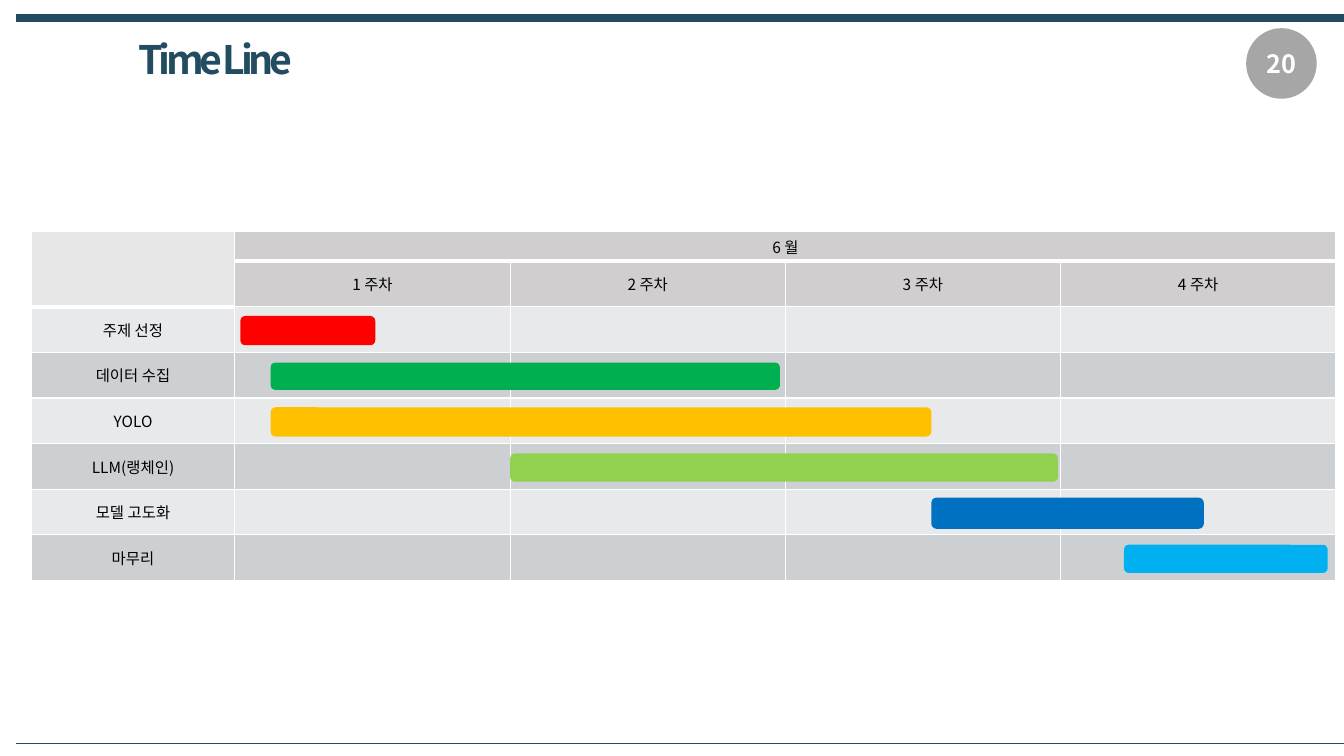
from lxml import etree
from pptx import Presentation
from pptx import util as u
from pptx.dml.color import RGBColor
from pptx.enum import shapes, text
from pptx.oxml import ns

# Content: bars are (start, end) in weeks, then height in inches and colour
TITLE, PAGE, MONTH = "Time Line", "20", "6 월"
WEEKS = ["1 주차", "2 주차", "3 주차", "4 주차"]
TASKS = [
    ("주제 선정", 0.02, 0.51, 0.29, "FF0000"),
    ("데이터 수집", 0.13, 1.98, 0.27, "00B050"),
    ("YOLO", 0.13, 2.53, 0.29, "FFC000"),
    ("LLM(랭체인)", 1.00, 2.99, 0.28, "92D050"),
    ("모델 고도화", 2.53, 3.52, 0.31, "0070C0"),
    ("마무리", 3.23, 3.97, 0.28, "00B0F0"),
]
THEME = dict(font="Noto Sans CJK KR", accent="224D60", ink="000000", white="FFFFFF",
             badge="A6A6A6", corner="E7E6E6", head="D0CECE",
             bands=("E8E9EA", "CDD0D2"), title=28, number=18, cell=11)

# Grid in inches
W, H = 13.33, 7.5
LEFT, TOP, LABEL_W, WEEK_W = 0.31, 2.3, 2.02, 2.73
MONTH_H, ROW_H = 0.29, 0.453
WEEKS_X = LEFT + LABEL_W
TASKS_Y = TOP + MONTH_H + ROW_H


def write(tf, words, size, color="ink", bold=False, align="CENTER", spacing=None):
    tf.vertical_anchor = text.MSO_ANCHOR.MIDDLE
    p = tf.paragraphs[0]
    p.alignment = getattr(text.PP_ALIGN, align)
    p.font.size = u.Pt(THEME[size])
    if not words:
        return
    r = p.add_run()
    r.text = words
    f = r.font
    f.name, f.size, f.bold = THEME["font"], u.Pt(THEME[size]), bold
    f.color.rgb = RGBColor.from_string(THEME[color])
    rPr = r._r.get_or_add_rPr()
    etree.SubElement(rPr, ns.qn("a:ea"), typeface=THEME["font"])
    if spacing is not None:
        rPr.set("spc", str(spacing * 100))


def add_rule(s, y, weight):
    c = s.shapes.add_connector(shapes.MSO_CONNECTOR.STRAIGHT, u.Inches(0.16),
                               u.Inches(y), u.Inches(W + 0.02), u.Inches(y))
    c.line.color.rgb = RGBColor.from_string(THEME["accent"])
    c.line.width = u.Pt(weight)
    etree.SubElement(c._element.spPr, ns.qn("a:effectLst"))


def add_block(s, kind, x, y, w, h, color):
    sp = s.shapes.add_shape(kind, *map(u.Inches, (x, y, w, h)))
    sp.shadow.inherit = False
    sp.fill.solid()
    sp.fill.fore_color.rgb = RGBColor.from_string(color)
    sp.line.fill.background()
    return sp


def style_cell(cell, words, color, bottom=1):
    tcPr = cell._tc.get_or_add_tcPr()
    for side, weight in zip("LRTB", (1, 1, 1, bottom)):
        ln = etree.SubElement(tcPr, ns.qn("a:ln" + side), w=str(u.Pt(weight)))
        fill = etree.SubElement(ln, ns.qn("a:solidFill"))
        etree.SubElement(fill, ns.qn("a:srgbClr"), val=THEME["white"])
    cell.fill.solid()
    cell.fill.fore_color.rgb = RGBColor.from_string(color)
    cell.margin_top = cell.margin_bottom = u.Inches(0.03)
    write(cell.text_frame, words, "cell")
    cell.vertical_anchor = text.MSO_ANCHOR.MIDDLE


def add_schedule(s):
    n_cols, n_rows = 1 + len(WEEKS), 2 + len(TASKS)
    frame = s.shapes.add_table(n_rows, n_cols, *map(u.Inches, (
        LEFT, TOP, LABEL_W + WEEK_W * len(WEEKS), MONTH_H + ROW_H * (n_rows - 1))))
    table = frame.table
    for i, col in enumerate(table.columns):
        col.width = u.Inches(WEEK_W if i else LABEL_W)
    for i, row in enumerate(table.rows):
        row.height = u.Inches(ROW_H if i else MONTH_H)

    # Headings, then one banded row per task
    blank = [""] * (len(WEEKS) - 1)
    rows = [["", MONTH, *blank], ["", *WEEKS]]
    rows += [[task[0], "", *blank] for task in TASKS]
    for i, row in enumerate(rows):
        for j, words in enumerate(row):
            if i > 1:
                color = THEME["bands"][i % 2]
            else:
                color = THEME["head" if j else "corner"]
            thick = i == 0 or (i == 1 and j == 0)
            style_cell(table.cell(i, j), words, color, 3 if thick else 1)
    table.cell(0, 0).merge(table.cell(1, 0))
    table.cell(0, 1).merge(table.cell(0, n_cols - 1))


def main():
    prs = Presentation()
    prs.slide_width, prs.slide_height = u.Inches(W), u.Inches(H)
    s = prs.slides.add_slide(prs.slide_layouts[5])

    # Title between the top and bottom rules
    add_rule(s, 0.18, 6)
    add_rule(s, 7.37, 0.25)
    title = s.shapes.title
    title.left, title.top, title.width, title.height = map(
        u.Inches, (1.27, 0.3, 9.23, 0.57))
    write(title.text_frame, TITLE, "title", color="accent", bold=True,
          align="LEFT", spacing=-3)

    # Schedule with one bar centred in each task row
    add_schedule(s)
    for i, (_, start, end, height, color) in enumerate(TASKS):
        add_block(s, shapes.MSO_SHAPE.ROUNDED_RECTANGLE, WEEKS_X + start * WEEK_W,
                  TASKS_Y + (i + 0.5) * ROW_H - height / 2 + 0.01,
                  (end - start) * WEEK_W, height, color)

    # Page badge
    badge = add_block(s, shapes.MSO_SHAPE.OVAL, 12.36, 0.28, 0.7, 0.7, THEME["badge"])
    write(badge.text_frame, PAGE, "number", color="white", bold=True)
    prs.save("out.pptx")


if __name__ == "__main__":
    main()
